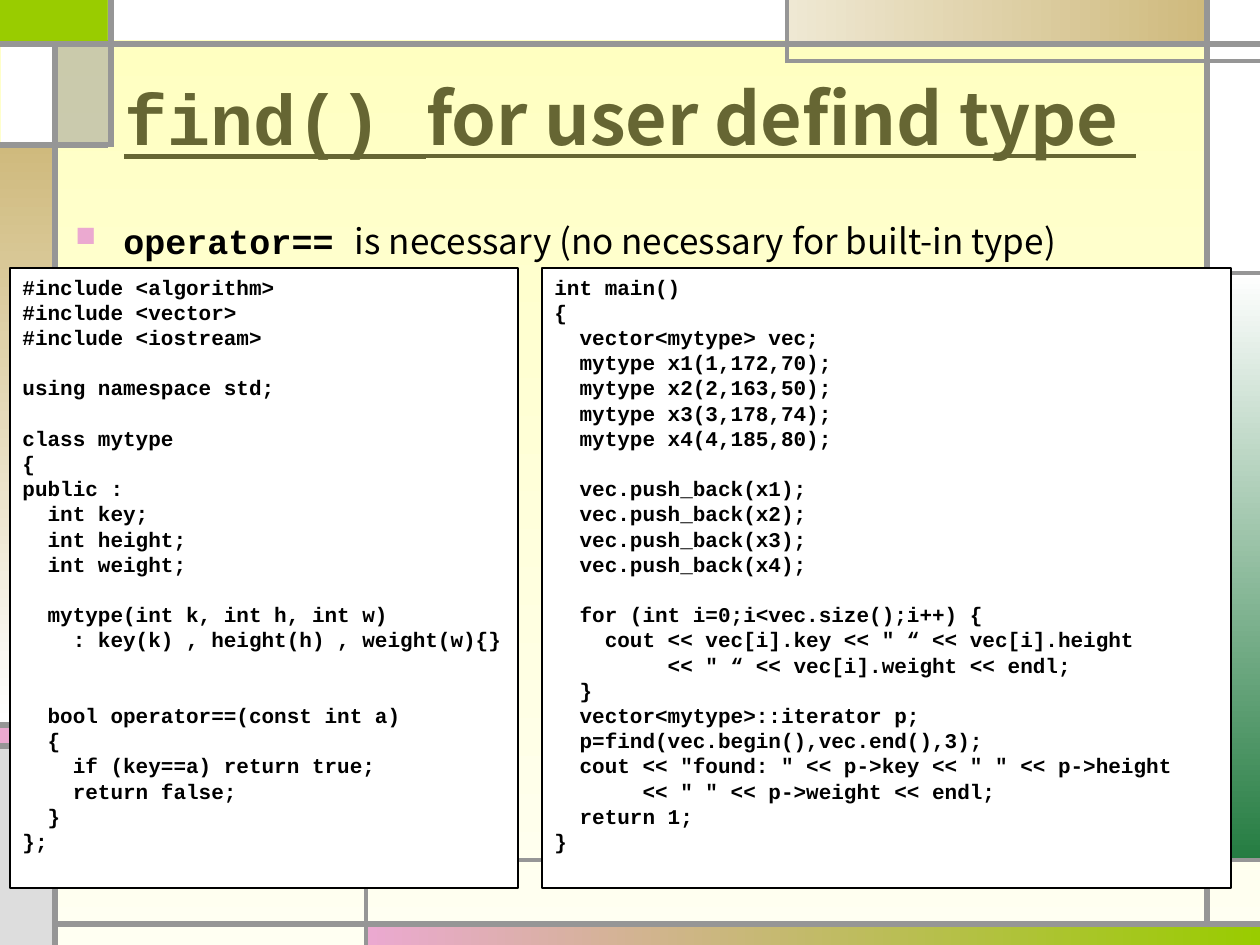
from lxml import etree
from pptx import Presentation
from pptx.dml.color import RGBColor
from pptx.enum.shapes import MSO_CONNECTOR, MSO_SHAPE
from pptx.enum.text import MSO_ANCHOR, PP_ALIGN
from pptx.oxml.ns import qn
from pptx.util import Emu, Pt

RECT = MSO_SHAPE.RECTANGLE
STRAIGHT = MSO_CONNECTOR.STRAIGHT
TOP, MIDDLE = MSO_ANCHOR.TOP, MSO_ANCHOR.MIDDLE
LEFT, CENTER = PP_ALIGN.LEFT, PP_ALIGN.CENTER

WHITE = RGBColor(0xFF, 0xFF, 0xFF)
BLACK = RGBColor(0, 0, 0)
LIME = RGBColor(0x99, 0xCC, 0x00)
PINK = RGBColor(0xEB, 0xA9, 0xD0)
GREEN = RGBColor(0x24, 0x7C, 0x41)
SILVER = RGBColor(0xDD, 0xDD, 0xDD)
GRAY = RGBColor(0x96, 0x96, 0x96)
CREAM = RGBColor(0xEF, 0xE8, 0xD3)
TAN = RGBColor(0xCF, 0xBA, 0x7D)
OLIVE = RGBColor(0x66, 0x66, 0x33)
YELLOW = RGBColor(0xFF, 0xFF, 0xBF)
IVORY = RGBColor(0xFF, 0xFF, 0xF2)

MONO, SANS = "Courier New", "Noto Sans CJK KR"
ACROSS, DOWN = 0, 270  # gradient angles, counter-clockwise
CODE_PITCH = 14.4      # points from one code line to the next

# left, top, width, height, colour or (start, end, angle)
PANELS = [
    (0, 0, 109, 42, LIME),
    (368, 924, 892, 21, (PINK, LIME, ACROSS)),
    (1207, 273, 53, 588, (WHITE, GREEN, DOWN)),
    (0, 725, 53, 21, PINK),
    (0, 747, 53, 198, SILVER),
    (1207, 0, 53, 273, WHITE),
    (787, 0, 420, 42, (CREAM, TAN, ACROSS)),
    (58, 42, 53, 103, GRAY),
    (0, 145, 53, 577, (TAN, WHITE, DOWN)),
    (1, 42, 53, 103, WHITE),
    (108, 0, 679, 40, WHITE),
]
TRANSLUCENT = PANELS[7]

# x1, y1, x2, y2, width in points
RULES = [
    (55, 945, 55, 42, 3),
    (55, 924, 1261, 924, 3),
    (1207, 924, 1207, 0, 3),
    (0, 44, 1260, 44, 3),
    (1260, 61, 787, 61, 2.25),
    (787, 63, 787, 0, 2.25),
    (1207, 273, 1260, 273, 2.25),
    (111, 0, 111, 147, 3),
    (108, 145, 0, 145, 3),
    (366, 945, 366, 859, 2.25),
    (364, 860, 1260, 860, 2.25),
    (58, 725, 0, 725, 3),
    (58, 746, 0, 746, 3),
]

CLASS_CODE = """#include <algorithm>
#include <vector>
#include <iostream>

using namespace std;

class mytype
{
public :
  int key;
  int height;
  int weight;

  mytype(int k, int h, int w)
    : key(k) , height(h) , weight(w){}


  bool operator==(const int a)
  {
    if (key==a) return true;
    return false;
  }
};"""

MAIN_CODE = """int main()
{
  vector<mytype> vec;
  mytype x1(1,172,70);
  mytype x2(2,163,50);
  mytype x3(3,178,74);
  mytype x4(4,185,80);

  vec.push_back(x1);
  vec.push_back(x2);
  vec.push_back(x3);
  vec.push_back(x4);

  for (int i=0;i<vec.size();i++) {
    cout << vec[i].key << " “ << vec[i].height
         << " “ << vec[i].weight << endl;
  }
  vector<mytype>::iterator p;
  p=find(vec.begin(),vec.end(),3);
  cout << "found: " << p->key << " " << p->height
       << " " << p->weight << endl;
  return 1;
}"""


def px(n):
    return Emu(n * 914400 // 126)


def set_fill(fill, paint):
    if isinstance(paint, RGBColor):
        fill.solid()
        fill.fore_color.rgb = paint
        return
    *colors, angle = paint
    fill.gradient()
    fill.gradient_angle = angle
    for stop, color in zip(fill.gradient_stops, colors):
        stop.color.rgb = color


def add_panel(s, x, y, w, h, paint):
    sp = s.shapes.add_shape(RECT, px(x), px(y), px(w), px(h))
    sp.shadow.inherit = False
    set_fill(sp.fill, paint)
    sp.line.fill.background()
    return sp


def set_alpha(sp, percent):
    color = sp.fill._xPr.find(".//" + qn("a:srgbClr"))
    etree.SubElement(color, qn("a:alpha"), val=str(percent * 1000))


def add_rule(s, x1, y1, x2, y2, width):
    line = s.shapes.add_connector(STRAIGHT, px(x1), px(y1), px(x2), px(y2))
    line.line.color.rgb = GRAY
    line.line.width = Pt(width)
    etree.SubElement(line._element.spPr, qn("a:effectLst"))


def set_font(font, size, color, bold=None):
    font.size, font.color.rgb, font.bold = Pt(size), color, bold


def add_text(s, x, y, w, h, runs, size, color, anchor):
    """Add one paragraph; each run is (text, font name, bold)."""
    tf = s.shapes.add_textbox(px(x), px(y), px(w), px(h)).text_frame
    tf.word_wrap, tf.vertical_anchor = True, anchor
    p = tf.paragraphs[0]
    set_font(p.font, size, color)
    for text, name, bold in runs:
        r = p.add_run()
        r.text, r.font.name, r.font.bold = text, name, bold
    return p


def add_bullet(p, indent, color, percent, char):
    pPr = p._p.get_or_add_pPr()
    pPr.set("marL", str(indent))
    pPr.set("indent", str(-indent))
    bullet = [etree.Element(qn("a:buClr")),
              etree.Element(qn("a:buSzPct"), val=str(percent * 1000)),
              etree.Element(qn("a:buChar"), char=char)]
    etree.SubElement(bullet[0], qn("a:srgbClr"), val=str(color))
    for i, item in enumerate(bullet):
        pPr.insert(i, item)


def add_code(s, x, y, w, h, code):
    sp = add_panel(s, x, y, w, h, WHITE)
    sp.line.color.rgb, sp.line.width = BLACK, Pt(0.75)
    tf = sp.text_frame
    tf.word_wrap, tf.vertical_anchor = True, TOP
    p, gap = tf.paragraphs[0], 0
    for i, text in enumerate(code.split("\n")):
        if not text:
            gap += CODE_PITCH
            continue
        if i:
            p = tf.add_paragraph()
        p.text, p.alignment = text, LEFT
        p.line_spacing, p.space_before = Pt(CODE_PITCH), Pt(gap)
        set_font(p.font, 12, BLACK, True)
        p.font.name = MONO
        gap = 0


def main():
    prs = Presentation()
    prs.slide_width, prs.slide_height = px(1260), px(945)
    s = prs.slides.add_slide(prs.slide_layouts[6])

    # Background and decoration
    set_fill(s.background.fill, (YELLOW, IVORY, DOWN))
    for panel in PANELS:
        sp = add_panel(s, *panel)
        if panel is TRANSLUCENT:
            set_alpha(sp, 50)
    for rule in RULES:
        add_rule(s, *rule)

    # Title
    title = [("find() ", MONO, True), ("for user defind type ", SANS, True)]
    p = add_text(s, 63, 38, 1134, 157, title, 41, OLIVE, MIDDLE)
    p.alignment, p.font.underline = CENTER, True

    # Bullet
    point = [("operator== ", MONO, True),
             ("is necessary (no necessary for built-in type)", SANS, False)]
    p = add_text(s, 63, 213, 1134, 624, point, 20, BLACK, TOP)
    add_bullet(p, px(48), PINK, 80, "■")

    # Code
    add_code(s, 10, 268, 508, 620, CLASS_CODE)
    add_code(s, 542, 268, 689, 620, MAIN_CODE)

    prs.save("out.pptx")


if __name__ == "__main__":
    main()
